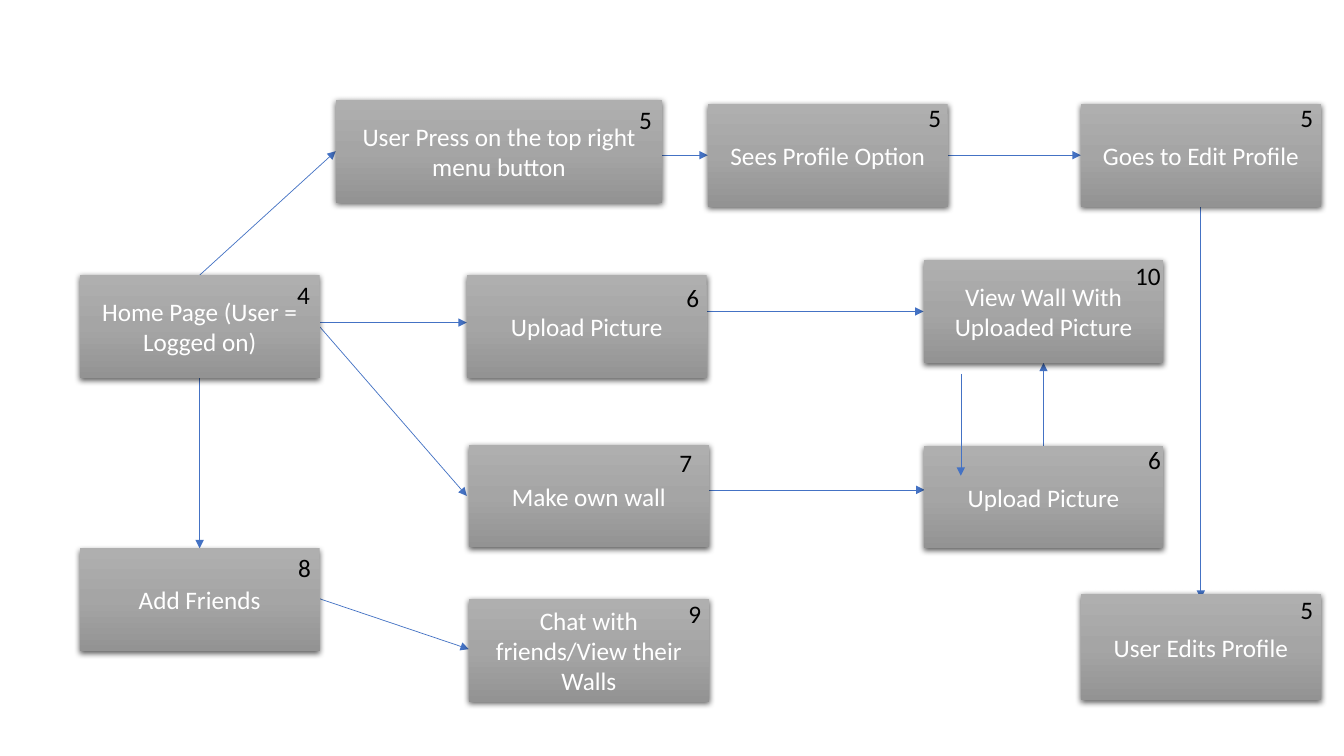
from copy import deepcopy
from pptx import Presentation
from pptx.dml.color import RGBColor
from pptx.enum.shapes import MSO_CONNECTOR, MSO_SHAPE
from pptx.enum.text import MSO_ANCHOR, PP_ALIGN
from pptx.oxml import parse_xml
from pptx.oxml.ns import nsdecls, qn
from pptx.util import Inches, Pt
from lxml.etree import SubElement


def color(text):
    return RGBColor.from_string(text)


class Flow:
    font, size = "Calibri", 18
    light, dark, blue = "FFFFFF", "000000", "4472C4"
    grays = ((0, "AFAFAF"), (0.5, "A5A5A5"), (1, "939393"))

    def __init__(self, slide):
        self.slide = slide

    def letter(self, shape, text, tone, align):
        frame = shape.text_frame
        frame.word_wrap = True
        frame.text = text
        for para in frame.paragraphs:
            para.alignment = align
            for run in para.runs:
                run.font.name = self.font
                run.font.size = Pt(self.size)
                run.font.color.rgb = color(tone)

    def shade(self, shape):
        fill = shape.fill
        fill.gradient()
        fill.gradient_angle = 270
        first = shape._element.spPr.find(".//" + qn("a:gs"))
        first.addnext(deepcopy(first))
        for stop, (place, tone) in zip(fill.gradient_stops, self.grays):
            stop.position = place
            stop.color.rgb = color(tone)

    def drop(self, shape):
        shape.shadow.inherit = False
        shape._element.spPr.find(qn("a:effectLst")).append(parse_xml(
            f'<a:outerShdw {nsdecls("a")} blurRad="{Pt(4.5)}" dist="{Pt(1.5)}" '
            'dir="5400000" algn="ctr" rotWithShape="0"><a:srgbClr val="000000">'
            '<a:alpha val="63000"/></a:srgbClr></a:outerShdw>'))

    def box(self, text, left, top, width=2.38, height=1.02):
        shape = self.slide.shapes.add_shape(
            MSO_SHAPE.RECTANGLE, Inches(left), Inches(top), Inches(width), Inches(height))
        self.shade(shape)
        shape.line.fill.background()
        self.drop(shape)
        shape.text_frame.vertical_anchor = MSO_ANCHOR.MIDDLE
        self.letter(shape, text, self.light, PP_ALIGN.CENTER)

    def label(self, text, left, top):
        width = 0.3 if len(text) == 1 else 0.59
        shape = self.slide.shapes.add_textbox(
            Inches(left), Inches(top), Inches(width), Inches(0.4))
        self.letter(shape, text, self.dark, PP_ALIGN.LEFT)

    def arrow(self, *ends):
        link = self.slide.shapes.add_connector(
            MSO_CONNECTOR.STRAIGHT, *[Inches(end) for end in ends])
        link.line.color.rgb = color(self.blue)
        link.line.width = Pt(0.5)
        props = link._element.spPr
        SubElement(props.find(qn("a:ln")), qn("a:tailEnd"), type="triangle")
        SubElement(props, qn("a:effectLst"))


deck = Presentation()
deck.slide_width, deck.slide_height = Inches(13.33), Inches(7.5)
flow = Flow(deck.slides.add_slide(deck.slide_layouts[6]))

home, mid, wall, edit = 0.79, 4.65, 9.16, 10.72
steps = [
    ("Home Page (User = Logged on)", home, 2.73),
    ("Add Friends", home, 5.44),
    ("User Press on the top right menu button", 3.33, 0.99, 3.24),
    ("Sees Profile Option", 7.02, 1.03),
    ("Goes to Edit Profile", edit, 1.03),
    ("User Edits Profile", edit, 5.89, 2.38, 1.06),
    ("Upload Picture", 4.63, 2.73),
    ("Make own wall", mid, 4.41),
    ("Chat with friends/View their Walls", mid, 5.94),
    ("View Wall With Uploaded Picture", wall, 2.58),
    ("Upload Picture", wall, 4.42),
]
links = [
    (1.98, 2.73, 3.33, 1.5),
    (3.17, 3.2, 4.63, 3.2),
    (3.17, 3.24, 4.63, 4.92),
    (1.98, 3.75, 1.98, 5.44),
    (3.17, 5.94, mid, 6.44),
    (5.61, 1.54, 7.02, 1.54),
    (9.39, 1.54, edit, 1.54),
    (11.91, 2.05, 11.91, 5.94),
    (7.01, 3.09, wall, 3.09),
    (7.02, 4.86, 9.17, 4.86),
    (10.35, 4.42, 10.35, 3.6),
]
marks = [
    ("4", 2.85, 2.72), ("8", 2.86, 5.43), ("5", 6.24, 0.99), ("5", 9.11, 0.97),
    ("5", 12.8, 0.97), ("5", 12.8, 5.85), ("6", 6.71, 2.75), ("7", 6.64, 4.39),
    ("9", 6.73, 5.89), ("10", 11.16, 2.53), ("6", 11.29, 4.36),
]
for link in links:
    flow.arrow(*link)
for step in steps:
    flow.box(*step)
flow.arrow(9.53, 3.71, 9.53, 4.72)
for mark in marks:
    flow.label(*mark)

deck.save("out.pptx")
